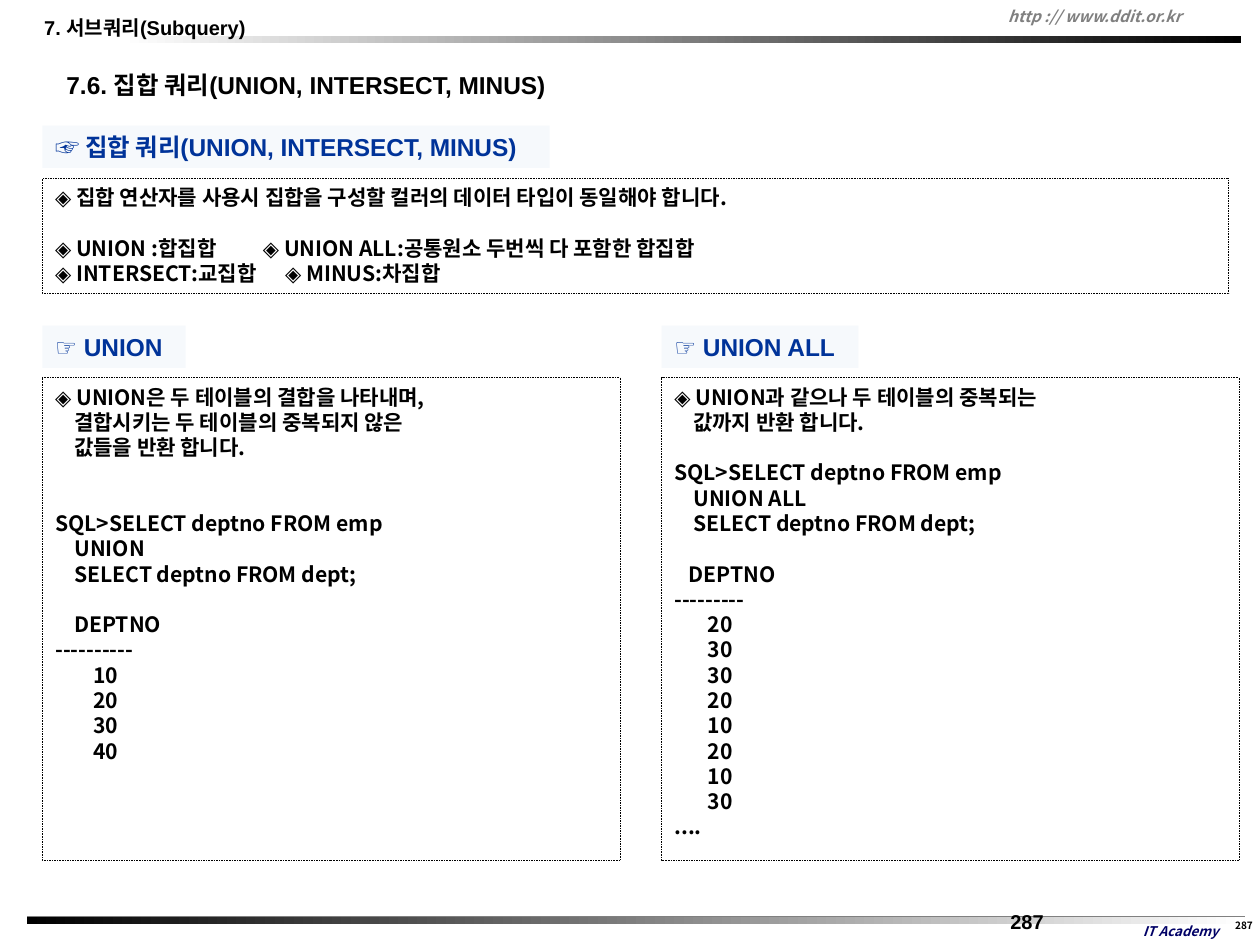
from dataclasses import dataclass

from lxml import etree
from pptx import Presentation
from pptx.dml.color import RGBColor
from pptx.enum.dml import MSO_LINE
from pptx.enum.shapes import MSO_CONNECTOR, MSO_SHAPE
from pptx.enum.text import MSO_ANCHOR, PP_ALIGN
from pptx.oxml.ns import qn
from pptx.util import Pt

BLACK = RGBColor(0x00, 0x00, 0x00)
WHITE = RGBColor(0xFF, 0xFF, 0xFF)
GRAY = RGBColor(0x80, 0x80, 0x80)
NAVY = RGBColor(0x00, 0x00, 0x66)
BLUE = RGBColor(0x00, 0x33, 0x99)
PALE = RGBColor(0xF6, 0xF9, 0xFC)
RECTANGLE = MSO_SHAPE.RECTANGLE
STRAIGHT = MSO_CONNECTOR.STRAIGHT
DOTTED = MSO_LINE.ROUND_DOT
TOP, MIDDLE = MSO_ANCHOR.TOP, MSO_ANCHOR.MIDDLE
LEFT, CENTER = PP_ALIGN.LEFT, PP_ALIGN.CENTER

HEADING_FONT = "Arial"
KOREAN_FONT = "Noto Sans CJK KR"
LINE_PITCH = 22.75
LEFT_COLUMN, RIGHT_COLUMN = 38.2, 595.4
PANEL_TOP, PANEL_WIDTH, PANEL_HEIGHT = 339.8, 519.8, 434.9


@dataclass
class Line:
    text: str
    blank_before: int = 0
    hang: float = 0
    tab: float = 0


@dataclass
class Style:
    size: float
    color: RGBColor = BLACK
    font: str = KOREAN_FONT
    italic: bool = False
    align: int = LEFT
    anchor: int = TOP
    inset: tuple[float, float] = (11.5, 5.8)
    pitch: float = 0


@dataclass
class Box:
    left: float
    top: float
    width: float
    height: float
    lines: list[Line]
    style: Style

    def frame(self) -> tuple:
        return Pt(self.left), Pt(self.top), Pt(self.width), Pt(self.height)


HEADER = Style(18, font=HEADING_FONT)
TITLE = Style(22, font=HEADING_FONT)
LABEL = Style(22, BLUE, HEADING_FONT)
BODY = Style(19, pitch=LINE_PITCH)
SITE = Style(14, GRAY, italic=True, anchor=MIDDLE, inset=(7.2, 3.6))
COMPANY = Style(12, NAVY, italic=True, align=CENTER, anchor=MIDDLE, inset=(7.2, 3.6))
SMALL_NUMBER = Style(9, align=CENTER, inset=(0, 3.6))


def code(*texts: str, blank_before: int = 1) -> list[Line]:
    return [Line(text, 0 if index else blank_before) for index, text in enumerate(texts)]


TITLE_BOX = Box(48.3, 56.9, 480, 38.2, [Line("7.6. 집합 쿼리(UNION, INTERSECT, MINUS)")], TITLE)

TEXTS = [
    Box(994.3, 826.6, 136.8, 23.8, [Line("IT Academy")], COMPANY),
    Box(900, 1.4, 231.1, 27.4, [Line("http :// www.ddit.or.kr")], SITE),
    Box(1109.5, 823.7, 20.2, 22.3, [Line("287")], SMALL_NUMBER),
    Box(897.8, 812.9, 236.2, 37.4, [Line("287")], HEADER),
    Box(28.3, 7.9, 230, 33.1, [Line("7. 서브쿼리(Subquery)")], HEADER),
]

LABELS = [
    Box(LEFT_COLUMN, 113, 456.5, 38.2, [Line("☞ 집합 쿼리(UNION, INTERSECT, MINUS)")], LABEL),
    Box(LEFT_COLUMN, 293, 128.9, 38.2, [Line("☞ UNION")], LABEL),
    Box(RIGHT_COLUMN, 293, 177.1, 38.2, [Line("☞ UNION ALL")], LABEL),
]

PANELS = [
    Box(LEFT_COLUMN, 160.6, 1067.8, 103.7, [
        Line("◈ 집합 연산자를 사용시 집합을 구성할 컬러의 데이터 타입이 동일해야 합니다."),
        Line("◈ UNION :합집합\t◈ UNION ALL:공통원소 두번씩 다 포함한 합집합", 1, tab=187),
        Line("◈ INTERSECT:교집합\t◈ MINUS:차집합", tab=207),
    ], BODY),
    Box(LEFT_COLUMN, PANEL_TOP, PANEL_WIDTH, PANEL_HEIGHT, [
        Line("◈ UNION은 두 테이블의 결합을 나타내며,\v결합시키는 두 테이블의 중복되지 않은"
             "\v값들을 반환 합니다.", hang=17),
        *code("SQL>SELECT deptno FROM emp", "    UNION", "    SELECT deptno FROM dept;",
              blank_before=2),
        *code("    DEPTNO", "----------", "        10", "        20", "        30", "        40"),
    ], BODY),
    Box(RIGHT_COLUMN, PANEL_TOP, PANEL_WIDTH, PANEL_HEIGHT, [
        Line("◈ UNION과 같으나 두 테이블의 중복되는\v값까지 반환 합니다.", hang=17),
        *code("SQL>SELECT deptno FROM emp", "    UNION ALL", "    SELECT deptno FROM dept;"),
        *code("   DEPTNO", "---------", "       20", "       30", "       30", "       20",
              "       10", "       20", "       10", "       30", "...."),
    ], BODY),
]


def write_text(shape, box: Box) -> None:
    style = box.style
    horizontal, vertical = (Pt(value) for value in style.inset)
    frame = shape.text_frame
    frame_format = {
        "word_wrap": True, "vertical_anchor": style.anchor,
        "margin_left": horizontal, "margin_right": horizontal,
        "margin_top": vertical, "margin_bottom": vertical,
    }
    for name, value in frame_format.items():
        setattr(frame, name, value)
    for index, line in enumerate(box.lines):
        paragraph = frame.add_paragraph() if index else frame.paragraphs[0]
        paragraph.text = line.text
        paragraph.alignment = style.align
        paragraph.space_before = Pt(line.blank_before * LINE_PITCH)
        if style.pitch:
            paragraph.line_spacing = Pt(style.pitch)
        properties = paragraph._p.get_or_add_pPr()
        if line.hang:
            properties.set("marL", str(Pt(line.hang)))
            properties.set("indent", str(-Pt(line.hang)))
        if line.tab:
            tabs = etree.SubElement(properties, qn("a:tabLst"))
            etree.SubElement(tabs, qn("a:tab"), pos=str(Pt(line.tab)), algn="l")
        run_format = {"size": Pt(style.size), "name": style.font, "bold": True,
                      "italic": style.italic}
        for run in paragraph.runs:
            for name, value in run_format.items():
                setattr(run.font, name, value)
            run.font.color.rgb = style.color
            east_asian = etree.SubElement(run._r.get_or_add_rPr(), qn("a:ea"))
            east_asian.set("typeface", KOREAN_FONT)


def add_box(slide, box: Box, is_label: bool) -> None:
    shape = slide.shapes.add_shape(RECTANGLE, *box.frame())
    shape.shadow.inherit = False
    if is_label:
        shape.fill.solid()
        shape.fill.fore_color.rgb = PALE
        shape.line.fill.background()
    else:
        shape.fill.background()
        shape.line.color.rgb = BLACK
        shape.line.width = Pt(0.75)
        shape.line.dash_style = DOTTED
    write_text(shape, box)


def add_gradient_bar(slide, left: float, top: float, width: float,
                     start: RGBColor, end: RGBColor) -> None:
    bar = slide.shapes.add_shape(RECTANGLE, Pt(left), Pt(top), Pt(width), Pt(6.5))
    bar.shadow.inherit = False
    bar.line.fill.background()
    bar.fill.gradient()
    bar.fill.gradient_angle = 0
    for stop, color in zip(bar.fill.gradient_stops, (start, end)):
        stop.color.rgb = color


def main() -> None:
    presentation = Presentation()
    presentation.slide_width, presentation.slide_height = Pt(1134), Pt(850.5)
    slide = presentation.slides.add_slide(presentation.slide_layouts[5])

    # Header and footer rules
    rule = slide.shapes.add_connector(STRAIGHT, Pt(24.5), Pt(825.1), Pt(1120.3), Pt(825.1))
    rule.line.color.rgb = GRAY
    rule.line.width = Pt(1.5)
    etree.SubElement(rule._element.spPr, qn("a:effectLst"))
    add_gradient_bar(slide, 24.5, 825.1, 1095.8, BLACK, WHITE)
    add_gradient_bar(slide, 109.4, 32.4, 1008, WHITE, BLACK)

    # Title
    title = slide.shapes.title
    title.left, title.top, title.width, title.height = TITLE_BOX.frame()
    write_text(title, TITLE_BOX)

    # Header, footer and page numbers
    for box in TEXTS:
        write_text(slide.shapes.add_textbox(*box.frame()), box)

    # Section labels and dotted panels
    for box in LABELS:
        add_box(slide, box, is_label=True)
    for box in PANELS:
        add_box(slide, box, is_label=False)

    presentation.save("out.pptx")


if __name__ == "__main__":
    main()
